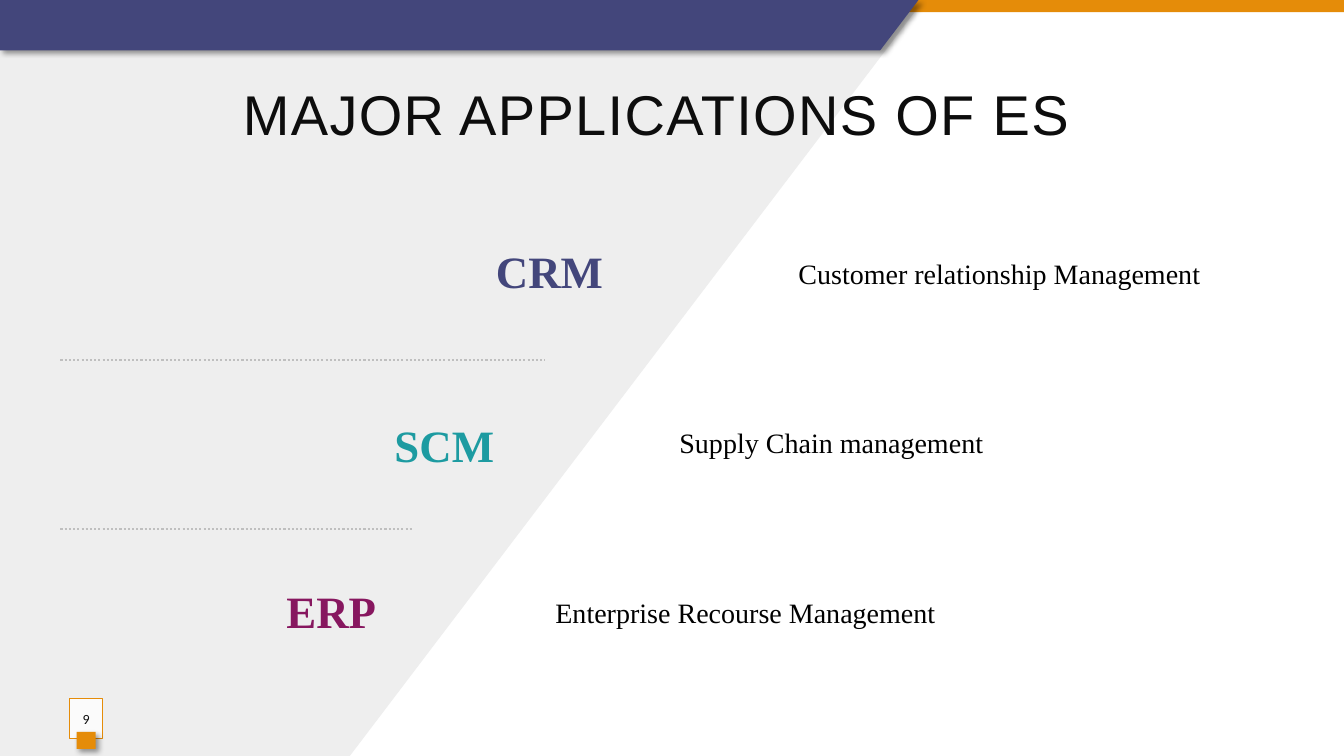
import pptx
import pptx.util
import pptx.dml.color
import pptx.enum.dml
import pptx.enum.shapes
import pptx.enum.text
import pptx.oxml
import pptx.oxml.ns

PX = 9144  # 100 px to the inch
Pt = pptx.util.Pt
ALIGN = pptx.enum.text.PP_ALIGN
ANCHOR = pptx.enum.text.MSO_ANCHOR
RECT = pptx.enum.shapes.MSO_SHAPE.RECTANGLE
INDIGO, TEAL, PLUM, ORANGE = "43467B", "1D9BA1", "87175F", "E58C09"
NS = pptx.oxml.ns.nsdecls("a")
SHADOW = (f'<a:outerShdw {NS} blurRad="50800" dist="38100" dir="2700000">'
          '<a:srgbClr val="000000"><a:alpha val="40000"/></a:srgbClr></a:outerShdw>')


def rgb(value):
    return pptx.dml.color.RGBColor.from_string(value)


def write(sp, text, anchor, para, font, color):
    tf = sp.text_frame
    tf.word_wrap = True
    tf.vertical_anchor = anchor
    p = tf.paragraphs[0]
    for key, value in para.items():
        setattr(p, key, value)
    r = p.add_run()
    r.text = text
    for key, value in font.items():
        setattr(r.font, key, value)
    r.font.color.rgb = rgb(color)
    return r


prs = pptx.Presentation()
prs.slide_width, prs.slide_height = 1333 * PX, 750 * PX
s = prs.slides.add_slide(prs.slide_layouts[6])

# Background panel, orange strip and indigo banner
panel = [(0, 0), (911, 0), (911, 7), (347, 750), (0, 750)]
banner = [(0, 0), (911, 0), (873, 50), (0, 50)]
backdrop = []
for points, color in [(panel, "EEEEEE"), ([(0, 0), (1333, 0), (1333, 12), (0, 12)], ORANGE),
                      (banner, INDIGO)]:
    if color == ORANGE:
        sp = s.shapes.add_shape(RECT, 0, 0, 1333 * PX, 12 * PX)
    else:
        fb = s.shapes.build_freeform(*points[0], scale=PX)
        fb.add_line_segments(points[1:], close=True)
        sp = fb.convert_to_shape()
    sp.shadow.inherit = False
    sp.fill.solid()
    sp.fill.fore_color.rgb = rgb(color)
    sp.line.fill.background()
    backdrop.append(sp)

# Title
sp = s.shapes.add_textbox(60 * PX, 73 * PX, 1182 * PX, 77 * PX)
r = write(sp, "MAJOR APPLICATIONS OF ES", ANCHOR.BOTTOM, {"alignment": ALIGN.CENTER},
          {"name": "Arial", "size": Pt(40)}, "0D0D0D")
r.font._element.set("spc", "100")

# Applications: abbreviation box, then meaning box
applications = [
    ("CRM", INDIGO, (68, 249, 540, 46), "Customer relationship Management", (782, 223, 472, 100)),
    ("SCM", TEAL, (60, 421, 440, 46), "Supply Chain management", (664, 391, 590, 100)),
    ("ERP", PLUM, (60, 586, 323, 46), "Enterprise Recourse Management", (541, 560, 712, 100)),
]
for short, color, short_box, meaning, meaning_box in applications:
    for text, box, align, size, bold, ink in [
            (meaning, meaning_box, ALIGN.LEFT, 20, False, "000000"),
            (short, short_box, ALIGN.RIGHT, 32, True, color)]:
        sp = s.shapes.add_textbox(*[v * PX for v in box])
        write(sp, text, ANCHOR.MIDDLE,
              {"alignment": align, "line_spacing": 0.9, "space_after": Pt(2)},
              {"name": "Times New Roman", "size": Pt(size), "bold": bold}, ink)

# Slide number frame and its orange tab
frame = s.shapes.add_shape(RECT, 69 * PX, 693 * PX, 33 * PX, 40 * PX)
tab = s.shapes.add_shape(RECT, 76 * PX, 726 * PX, 19 * PX, 17 * PX)
for sp, color in [(frame, "FFFFFF"), (tab, ORANGE)]:
    sp.shadow.inherit = False
    sp.fill.solid()
    sp.fill.fore_color.rgb = rgb(color)
    sp.line.fill.background()
frame.line.color.rgb = rgb(ORANGE)
frame.line.width = Pt(0.75)
white = frame._element.spPr.find(".//" + pptx.oxml.ns.qn("a:srgbClr"))
white.append(pptx.oxml.parse_xml(f'<a:alpha {NS} val="82000"/>'))
frame.text_frame.margin_left = frame.text_frame.margin_right = 0
write(frame, "9", ANCHOR.MIDDLE, {"alignment": ALIGN.CENTER},
      {"name": "Calibri", "size": Pt(10)}, "0D0D0D")

# Shadows under the banner and the tab
for sp in (backdrop[-1], tab):
    effects = sp._element.spPr.find(pptx.oxml.ns.qn("a:effectLst"))
    effects.append(pptx.oxml.parse_xml(SHADOW))

# Dotted dividers
for right, y in [(540, 357), (410, 525)]:
    line = s.shapes.add_connector(pptx.enum.shapes.MSO_CONNECTOR.STRAIGHT,
                                  60 * PX, y * PX, right * PX, y * PX)
    line.line.color.rgb = rgb("BFBFBF")
    line.line.width = Pt(1.5)
    line.line.dash_style = pptx.enum.dml.MSO_LINE.ROUND_DOT
    line._element.spPr.append(pptx.oxml.parse_xml(f"<a:effectLst {NS}/>"))

prs.save("out.pptx")
